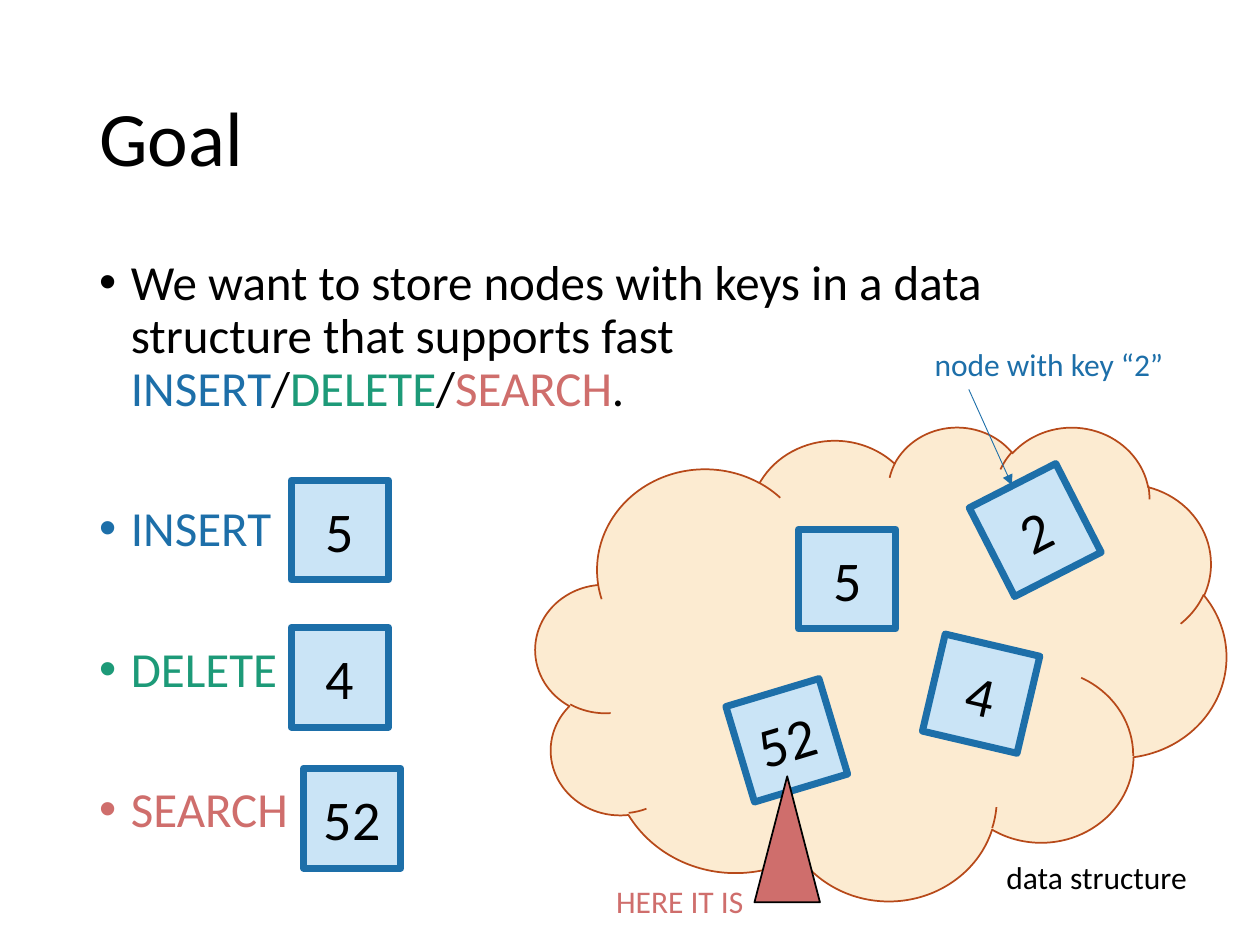
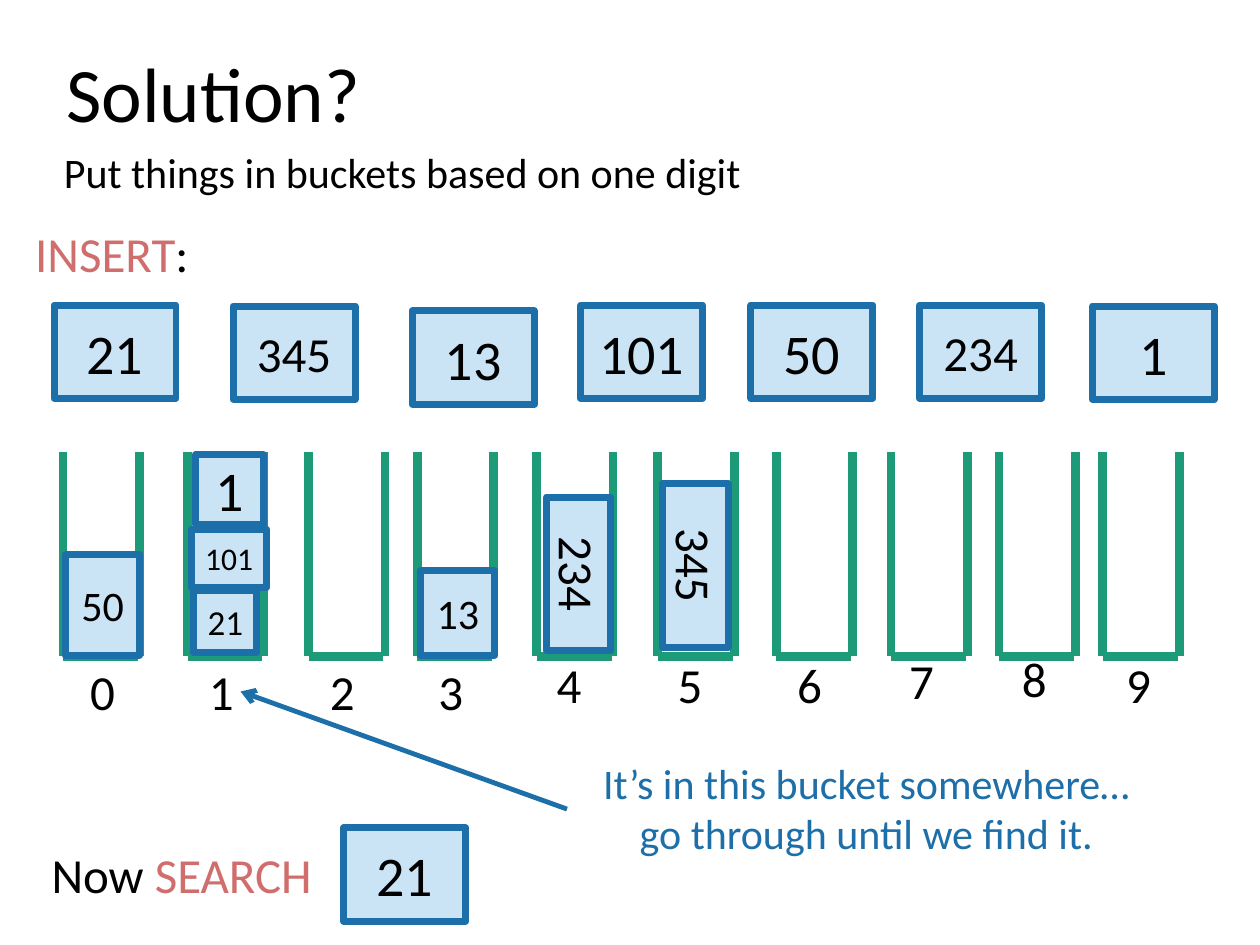
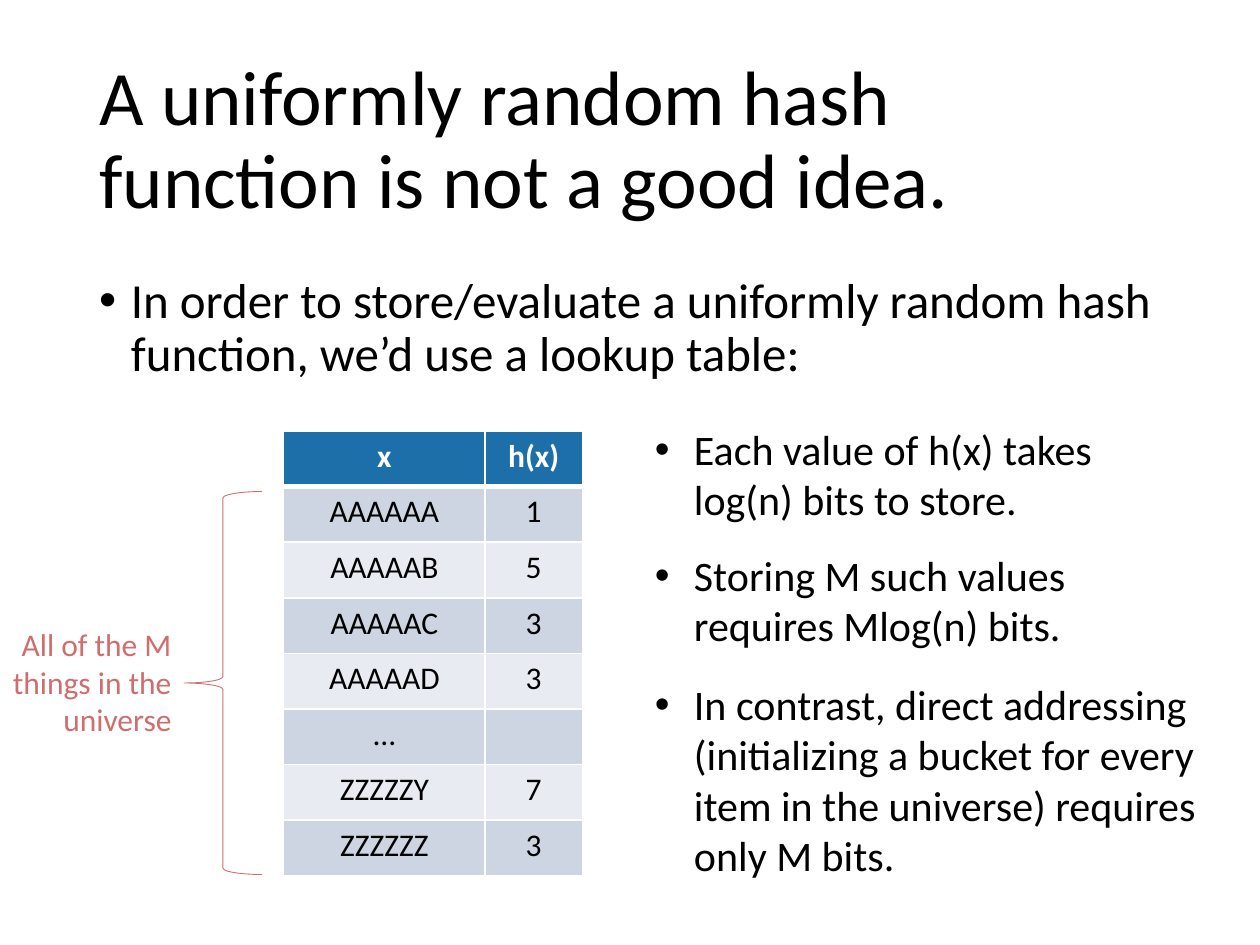
import pptx
import pptx.util
import pptx.dml.color
import pptx.enum.shapes
import pptx.enum.text
import pptx.oxml
import pptx.oxml.ns
import lxml.etree

Cm = pptx.util.Cm
Pt = pptx.util.Pt
SHAPE = pptx.enum.shapes.MSO_SHAPE
ALIGN = pptx.enum.text.PP_ALIGN
ANCHOR = pptx.enum.text.MSO_ANCHOR
FONT = "Calibri"
COLORS = {
    "black": "000000", "white": "FFFFFF", "blue": "1D6FA9", "green": "1D9A78",
    "red": "CF6E6C", "sky": "CAE4F6", "cream": "FCEBD1", "rust": "B74919",
    "odd": "CDD5E2", "even": "E8EBF1",
}

GOAL_POINTS = [
    [("We want to store nodes with keys in a data structure that supports fast ", "black"),
     ("INSERT", "blue"), ("/", "black"), ("DELETE", "green"), ("/", "black"),
     ("SEARCH", "red"), (".", "black")],
    [("INSERT", "blue")],
    [("DELETE", "green")],
    [("SEARCH", "red")],
]
NODE_SIZE = (1.96, 2.01)
NODES = [
    ("5", 16.1, 10.67, 0), ("2", 19.89, 9.68, 332.9), ("4", 18.8, 12.98, 13.2),
    ("52", 14.88, 13.92, 343.3), ("5", 5.87, 9.68, 0), ("4", 5.87, 12.65, 0),
    ("52", 6.12, 15.49, 0),
]

BUCKET_TOP, BUCKET_BOTTOM, BUCKET_WIDTH = 9.12, 13.23, 1.54
BUCKETS = [
    (1.27, 1.57, 13.21), (3.78, 3.96, 13.21), (6.22, 6.4, 13.21), (8.41, 8.59, 13.21),
    (10.82, 10.97, 13.06), (13.26, 13.41, 13.06), (15.65, 15.82, 13.06),
    (17.96, 18.08, 12.98), (20.14, 20.35, 12.95), (22.23, 22.45, 13.06),
]
STORED = [
    ("345", (12.37, 10.74, 3.3, 1.32), 28, 90), ("50", (1.32, 11.18, 1.5, 2.03), 24, 0),
    ("13", (8.48, 11.51, 1.5, 1.7), 24, 0), ("21", (3.91, 11.91, 1.27, 1.24), 20, 0),
    ("101", (3.86, 10.67, 1.52, 1.17), 18, 0), ("1", (3.94, 9.17, 1.37, 1.4), 32, 0),
    ("234", (10.11, 10.92, 3.1, 1.3), 28, 90),
]
KEY_SIZE = (2.46, 1.88)
KEYS = [
    ("21", 1.09, 6.15, 32), ("345", 4.7, 6.17, 28), ("13", 8.31, 6.27, 32),
    ("101", 11.71, 6.15, 32), ("50", 15.14, 6.15, 32), ("234", 18.54, 6.15, 28),
    ("1", 22.02, 6.17, 32), ("21", 6.93, 16.69, 32),
]

LOOKUP = [
    ("x", "h(x)"), ("AAAAAA", "1"), ("AAAAAB", "5"), ("AAAAAC", "3"),
    ("AAAAAD", "3"), ("…", ""), ("ZZZZZY", "7"), ("ZZZZZZ", "3"),
]
LOOKUP_WIDTHS, LOOKUP_ROW = (4.06, 1.96), 1.12
COSTS = [
    "Each value of h(x) takes log(n) bits to store.",
    "Storing M such values requires Mlog(n) bits.",
    "In contrast, direct addressing (initializing a bucket for every item in the universe) "
    "requires only M bits.",
]


def rgb(name):
    return pptx.dml.color.RGBColor.from_string(COLORS[name])


def add_bullet(para, indent):
    properties = para._p.get_or_add_pPr()
    properties.set("marL", str(Cm(indent)))
    properties.set("indent", str(-Cm(indent)))
    for tag, attribute, value in (("buFont", "typeface", "Arial"), ("buChar", "char", "•")):
        element = lxml.etree.SubElement(properties, pptx.oxml.ns.qn(f"a:{tag}"))
        element.set(attribute, value)


def write(frame, text, size=18, color="black", align=ALIGN.LEFT, bold=False,
          anchor=ANCHOR.TOP, wrap=True, spacing=None, gaps=(), indent=None):
    frame.word_wrap = wrap
    frame.vertical_anchor = anchor
    for index, line in enumerate([text] if isinstance(text, str) else text):
        para = frame.paragraphs[0] if index == 0 else frame.add_paragraph()
        para.alignment = align
        if spacing:
            para.line_spacing = spacing
        if index and gaps:
            para.space_before = Pt(gaps[index - 1])
        if indent:
            add_bullet(para, indent)
        for words, shade in [(line, color)] if isinstance(line, str) else line:
            span = para.add_run()
            span.text = words
            span.font.name, span.font.size, span.font.bold = FONT, Pt(size), bold
            span.font.color.rgb = rgb(shade)


def add_text(page, area, text, **style):
    box = page.shapes.add_textbox(*map(Cm, area))
    write(box.text_frame, text, **style)


def add_title(page, area, text):
    add_text(page, area, text, size=44, anchor=ANCHOR.MIDDLE, spacing=0.9)


def add_figure(page, kind, area, fill, line, weight):
    figure = page.shapes.add_shape(kind, *map(Cm, area))
    figure.shadow.inherit = False
    if fill:
        figure.fill.solid()
        figure.fill.fore_color.rgb = rgb(fill)
    else:
        figure.fill.background()
    figure.line.color.rgb = rgb(line)
    figure.line.width = Pt(weight)
    return figure


def add_node(page, text, area, size=32, rotation=0):
    node = add_figure(page, SHAPE.RECTANGLE, area, "sky", "blue", 4)
    node.rotation = rotation
    write(node.text_frame, text, size=size, align=ALIGN.CENTER, anchor=ANCHOR.MIDDLE)


def add_line(page, ends, color, weight, head=None):
    line = page.shapes.add_connector(
        pptx.enum.shapes.MSO_CONNECTOR.STRAIGHT, *map(Cm, ends))
    line.line.color.rgb = rgb(color)
    line.line.width = Pt(weight)
    if head:
        tail = lxml.etree.SubElement(line.line._get_or_add_ln(), pptx.oxml.ns.qn("a:tailEnd"))
        tail.set("type", head)
    lxml.etree.SubElement(line._element.spPr, pptx.oxml.ns.qn("a:effectLst"))


def add_borders(cell, bottom):
    properties = cell._tc.get_or_add_tcPr()
    for index, (side, weight) in enumerate((("L", 1), ("R", 1), ("T", 1), ("B", bottom))):
        border = pptx.oxml.parse_xml(
            f'<a:ln{side} {pptx.oxml.ns.nsdecls("a")} w="{Pt(weight)}"><a:solidFill>'
            f'<a:srgbClr val="{COLORS["white"]}"/></a:solidFill></a:ln{side}>')
        properties.insert(index, border)


def build_goal(page):
    add_figure(page, SHAPE.CLOUD, (10.8, 8.59, 13.92, 9.55), "cream", "rust", 1)
    add_title(page, (1.75, 1.02, 21.9, 3.68), "Goal")
    add_text(page, (1.75, 5.08, 21.9, 12.09), GOAL_POINTS, size=28, spacing=0.9,
             gaps=(50, 50, 50), indent=0.64)
    add_text(page, (20.04, 17.17, 4.65, 1.02), "data structure")
    for key, left, top, rotation in NODES:
        add_node(page, key, (left, top, *NODE_SIZE), rotation=rotation)
    add_figure(page, SHAPE.ISOSCELES_TRIANGLE, (15.21, 15.65, 1.32, 2.54), "red", "black", 1)
    add_text(page, (12.17, 17.65, 3.71, 1.02), "HERE IT IS", color="red")
    add_text(page, (18.59, 6.83, 5.72, 1.02), "node with key “2”", color="blue")
    add_line(page, (19.53, 7.85, 20.4, 9.78), "blue", 0.5, head="triangle")


def build_buckets(page):
    add_title(page, (1.09, 0.74, 21.9, 2.46), "Solution?")
    for digit, (left, label_left, label_top) in enumerate(BUCKETS):
        right = left + BUCKET_WIDTH
        for ends in ((left, BUCKET_TOP, left, BUCKET_BOTTOM),
                     (right, BUCKET_TOP, right, BUCKET_BOTTOM),
                     (right - 0.03, BUCKET_BOTTOM, left, BUCKET_BOTTOM)):
            add_line(page, ends, "green", 5)
        add_text(page, (label_left, label_top, 0.89, 1.45), str(digit), size=28,
                 align=ALIGN.CENTER, wrap=False)
    for key, area, size, rotation in STORED:
        add_node(page, key, area, size, rotation)
    add_text(page, (0.46, 4.39, 5.79, 1.45), [[("INSERT", "red"), (":", "black")]], size=28)
    add_text(page, (0.79, 16.89, 22.96, 1.45), [[("Now ", "black"), ("SEARCH", "red")]], size=28)
    for key, left, top, size in KEYS:
        add_node(page, key, (left, top, *KEY_SIZE), size)
    add_text(page, (11.43, 15.14, 12.07, 2.31),
             ["It’s in this bucket somewhere…", "go through until we find it."],
             size=24, color="blue", align=ALIGN.CENTER)
    add_line(page, (11.43, 16.31, 4.85, 13.94), "blue", 2.75, head="arrow")
    add_text(page, (1.04, 2.82, 15.19, 1.27), "Put things in buckets based on one digit", size=24)


def add_lookup(page):
    area = (5.72, 8.69, sum(LOOKUP_WIDTHS), LOOKUP_ROW * len(LOOKUP))
    table = page.shapes.add_table(len(LOOKUP), len(LOOKUP_WIDTHS), *map(Cm, area)).table
    for column, width in zip(table.columns, LOOKUP_WIDTHS):
        column.width = Cm(width)
    for row, values in enumerate(LOOKUP):
        header = row == 0
        for column, value in enumerate(values):
            cell = table.cell(row, column)
            cell.fill.solid()
            cell.fill.fore_color.rgb = rgb("blue" if header else "odd" if row % 2 else "even")
            add_borders(cell, 3 if header else 1)
            if value:
                write(cell.text_frame, value, align=ALIGN.CENTER, bold=header,
                      color="white" if header else "black")


def build_hash(page):
    add_title(page, (1.75, 1.02, 21.9, 3.68),
              "A uniformly random hash function is not a good idea.")
    add_text(page, (1.75, 5.44, 21.9, 12.5),
             "In order to store/evaluate a uniformly random hash function, "
             "we’d use a lookup table:", size=28, spacing=0.9, indent=0.64)
    add_lookup(page)
    add_text(page, (-0.74, 12.47, 4.45, 2.57), "All of the M things in the universe",
             color="red", align=ALIGN.RIGHT)
    add_figure(page, SHAPE.LEFT_BRACE, (3.71, 9.91, 1.57, 7.72), None, "red", 0.5)
    add_text(page, (12.95, 8.41, 11.48, 9.65), COSTS, size=24, gaps=(14.5, 16), indent=0.79)


def main():
    deck = pptx.Presentation()
    deck.slide_width, deck.slide_height = Cm(25.4), Cm(19.05)
    for build in (build_goal, build_buckets, build_hash):
        build(deck.slides.add_slide(deck.slide_layouts[6]))
    deck.save("out.pptx")


if __name__ == "__main__":
    main()
